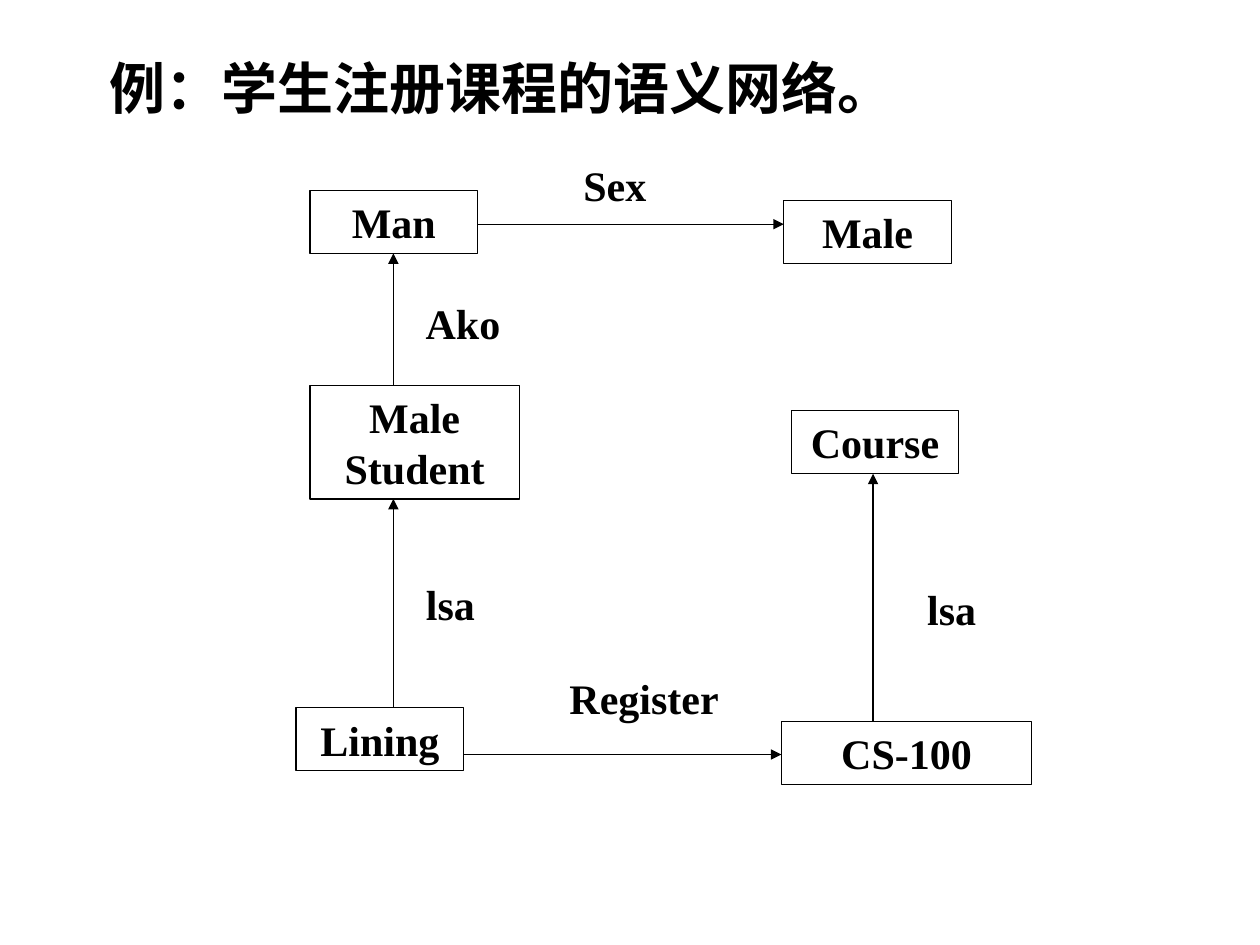
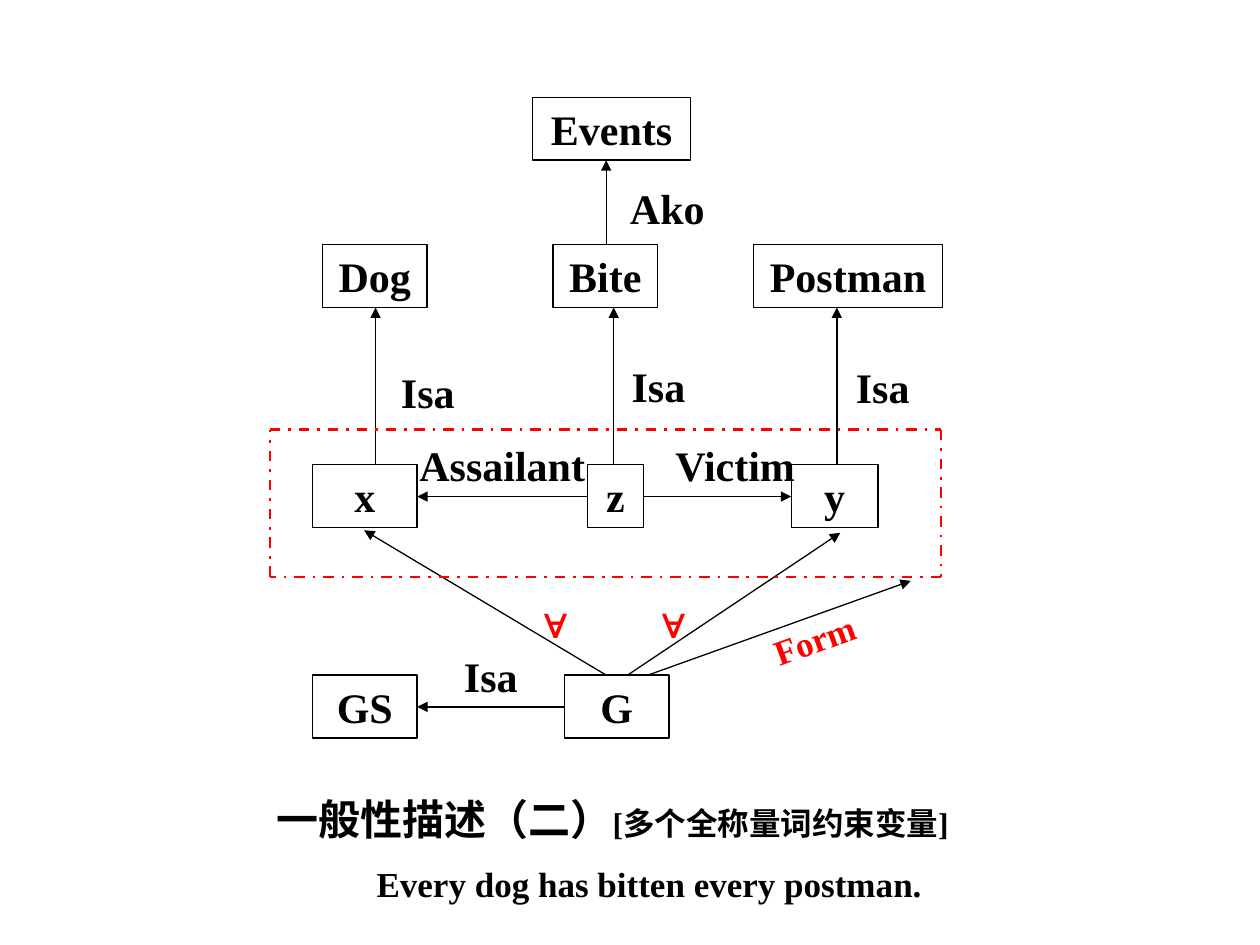
from dataclasses import dataclass

from lxml import etree
from pptx import Presentation, util as u
from pptx.dml.color import RGBColor
from pptx.enum import dml, shapes, text
from pptx.oxml.ns import qn


@dataclass(frozen=True)
class Theme:
    ink: str = "000000"
    paper: str = "FFFFFF"
    accent: str = "FF0000"
    serif: str = "Times New Roman"
    heading: str = "Karla"
    symbol: str = "Arial"
    title_size: int = 32
    body_size: int = 24
    small_size: int = 20
    note_size: int = 18
    thin: float = 0.75
    thick: float = 1.5
    leading: float = 1.2
    cjk_leading: float = 1.28
    row: float = 1.27


T = Theme()
LEFT, CENTER = text.PP_ALIGN.LEFT, text.PP_ALIGN.CENTER

TITLE = "例：学生注册课程的语义网络。"
CAPTION = [("一般性描述（二）", T.body_size), ("[多个全称量词约束变量]", T.note_size)]
SENTENCE = "Every dog has bitten every postman."

COURSE_NODES = {
    "Man": (6.25, 3.84, 3.38, T.row),
    "Male Student": (6.25, 7.77, 4.22, 2.29),
    "Lining": (5.97, 14.27, 3.38, T.row),
    "CS-100": (15.75, 14.55, 5.05, T.row),
    "Course": (15.95, 8.28, 3.38, T.row),
    "Male": (15.8, 4.04, 3.38, T.row),
}
COURSE_ARROWS = [
    ("Man", "Male", "across", 4.52),
    ("Male Student", "Man", "up", 7.93),
    ("Lining", "Male Student", "up", 7.93),
    ("Lining", "CS-100", "across", 15.21),
    ("CS-100", "Course", "up", 17.6),
]
COURSE_LABELS = [
    ("Sex", 11.51, 3.1, 2.79, dict(line=T.paper, align=LEFT)),
    ("Register", 10.46, 13.44, 5.05, dict(line=T.paper)),
    ("lsa", 18.03, 11.63, 2.31, dict(line=T.paper)),
    ("lsa", 8.05, 11.53, 2.06, dict(line=T.paper)),
    ("Ako", 8.33, 5.87, 2.46, dict(align=LEFT)),
]

BITE_ROWS = [
    (1.96, [("Events", 10.74, 3.18)]),
    (4.93, [("Dog", 6.5, 2.11), ("Bite", 11.15, 2.11), ("Postman", 15.19, 3.81)]),
    (9.37, [("x", 6.3, 2.11), ("z", 11.84, 1.14), ("y", 15.95, 1.75)]),
    (13.61, [("GS", 6.3, 2.11), ("G", 11.38, 2.11)]),
]
BITE_NODES = {
    name: (x, y, w, T.row) for y, row in BITE_ROWS for name, x, w in row
}
BITE_ARROWS = [
    ("Bite", "Events", "up", 12.22),
    ("x", "Dog", "up", 7.57),
    ("z", "Bite", "up", 12.37),
    ("y", "Postman", "up", 16.87),
    ("z", "x", "across", 10.01),
    ("z", "y", "across", 10.01),
    ("G", "GS", "across", 14.25),
]
QUANTIFIER_RAYS = [
    (12.65, 13.61, 16.94, 10.74),
    (12.22, 13.61, 7.34, 10.69),
    (13.06, 13.61, 18.36, 11.71),
]
FORM_FRAME = (5.44, 8.66, 18.97, 11.63)
FORALL = dict(font=T.symbol, color=T.accent)
BITE_LABELS = [
    ("Ako", 12.45, 3.56, 2.06, dict(align=LEFT)),
    ("Isa", 7.57, 7.26, 2.11, {}),
    ("Isa", 12.22, 7.14, 2.11, {}),
    ("Isa", 16.74, 7.16, 2.11, {}),
    ("Isa", 8.84, 12.98, 2.11, {}),
    ("Assailant", 7.8, 8.74, 4.65, {}),
    ("Victim", 12.85, 8.74, 3.94, {}),
    ("∀", 10.64, 11.91, 1.12, FORALL),
    ("∀", 13.06, 11.91, 1.07, FORALL),
    ("Form", 14.61, 12.34, 3.61,
     dict(h=1.12, size=T.small_size, color=T.accent, rotation=-20)),
]


def add_run(p, words, size, font, color):
    r = p.add_run()
    r.text = words
    r.font.size = u.Pt(size)
    r.font.name = font
    r.font.bold = True
    r.font.color.rgb = RGBColor.from_string(color)


def add_text(s, words, x, y, w, h=T.row, *, size=T.body_size, font=T.serif,
             color=T.ink, align=CENTER, line=None, rotation=0, leading=T.leading):
    at = [u.Cm(v) for v in (x, y, w, h)]
    if line:
        sp = s.shapes.add_shape(shapes.MSO_SHAPE.RECTANGLE, *at)
        sp.shadow.inherit = False
        sp.fill.background()
        sp.line.color.rgb = RGBColor.from_string(line)
        sp.line.width = u.Pt(T.thin)
    else:
        sp = s.shapes.add_textbox(*at)
    sp.rotation = rotation
    tf = sp.text_frame
    tf.word_wrap = True
    tf.vertical_anchor = text.MSO_ANCHOR.TOP
    p = tf.paragraphs[0]
    p.alignment = align
    p.line_spacing = u.Pt(size * leading)
    runs = [(words, size)] if isinstance(words, str) else words
    for part, part_size in runs:
        add_run(p, part, part_size, font, color)
    return tf


def add_line(s, x1, y1, x2, y2, color=T.ink, width=T.thin, dash=None, arrow=True):
    c = s.shapes.add_connector(
        shapes.MSO_CONNECTOR.STRAIGHT, *[u.Cm(v) for v in (x1, y1, x2, y2)])
    c.line.color.rgb = RGBColor.from_string(color)
    c.line.width = u.Pt(width)
    if dash:
        c.line.dash_style = dash
    if arrow:
        etree.SubElement(c.line._get_or_add_ln(), qn("a:tailEnd"), type="triangle")
    etree.SubElement(c._element.spPr, qn("a:effectLst"))


def link(s, start, end, direction, at):
    x1, y1, w1, h1 = start
    x2, y2, w2, h2 = end
    if direction == "up":
        add_line(s, at, y1, at, y2 + h2)
    elif x2 > x1:
        add_line(s, x1 + w1, at, x2, at)
    else:
        add_line(s, x1, at, x2 + w2, at)


def add_network(prs, nodes, arrows, labels):
    s = prs.slides.add_slide(prs.slide_layouts[6])
    for name, at in nodes.items():
        add_text(s, name, *at, line=T.ink)
    for start, end, direction, at in arrows:
        link(s, nodes[start], nodes[end], direction, at)
    for words, x, y, w, style in labels:
        add_text(s, words, x, y, w, **style)
    return s


def add_frame(s, left, top, right, bottom):
    corners = [(left, top), (right, top), (right, bottom), (left, bottom)]
    for a, b in zip(corners, corners[1:] + corners[:1]):
        add_line(s, *a, *b, color=T.accent, width=T.thick,
                 dash=dml.MSO_LINE.DASH_DOT, arrow=False)


def main():
    prs = Presentation()
    prs.slide_width, prs.slide_height = u.Cm(25.4), u.Cm(19.05)

    s = add_network(prs, COURSE_NODES, COURSE_ARROWS, COURSE_LABELS)
    add_text(s, TITLE, 1.96, 0.86, 20.7, 1.63, size=T.title_size,
             font=T.heading, align=LEFT, leading=T.cjk_leading)

    s = add_network(prs, BITE_NODES, BITE_ARROWS, BITE_LABELS)
    for ray in QUANTIFIER_RAYS:
        add_line(s, *ray)
    add_frame(s, *FORM_FRAME)
    tf = add_text(s, CAPTION, 5.33, 15.8, 15.52, 2.57, align=LEFT,
                  leading=T.cjk_leading)
    p = tf.add_paragraph()
    p.alignment = CENTER
    p.space_before = u.Pt(10.5)
    p.line_spacing = u.Pt(T.small_size * T.leading)
    add_run(p, SENTENCE, T.small_size, T.serif, T.ink)

    prs.save("out.pptx")


if __name__ == "__main__":
    main()
